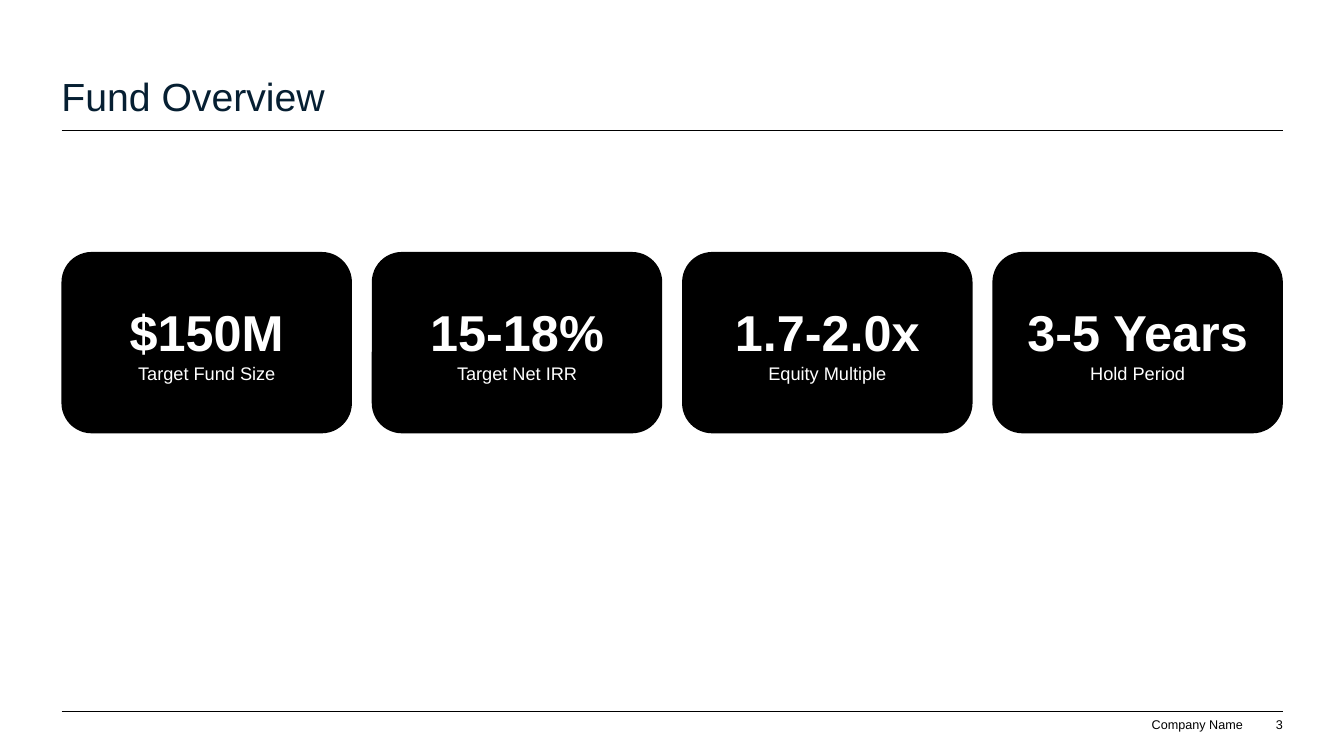
from lxml import etree
from pptx import Presentation
from pptx import util as u
from pptx.dml.color import RGBColor
from pptx.enum import shapes, text
from pptx.oxml.ns import qn

COLORS = {"ink": "000000", "paper": "FFFFFF", "title": "061F32"}
FONT = "Arial"
LEFT, WIDTH = 1.55, 30.78
RIGHT = LEFT + WIDTH
CARD_GAP = 0.5
METRICS = [
    ("$150M", "Target Fund Size"),
    ("15-18%", "Target Net IRR"),
    ("1.7-2.0x", "Equity Multiple"),
    ("3-5 Years", "Hold Period"),
]


def write_text(paragraph, content, size, color="ink", bold=False,
               align=text.PP_ALIGN.LEFT):
    paragraph.alignment = align
    run = paragraph.add_run()
    run.text = content
    run.font.name = FONT
    run.font.size = u.Pt(size)
    run.font.bold = bold
    run.font.color.rgb = RGBColor.from_string(COLORS[color])


class SlideBuilder:
    def __init__(self, slide):
        self.slide = slide

    def label(self, content, left, top, width, height, wrap=True, **style):
        box = self.slide.shapes.add_textbox(
            u.Cm(left), u.Cm(top), u.Cm(width), u.Cm(height))
        frame = box.text_frame
        frame.word_wrap = wrap
        frame.vertical_anchor = text.MSO_ANCHOR.BOTTOM
        frame.margin_left = frame.margin_right = 0
        frame.margin_top = frame.margin_bottom = 0
        write_text(frame.paragraphs[0], content, **style)

    def rule(self, top):
        line = self.slide.shapes.add_connector(
            shapes.MSO_CONNECTOR.STRAIGHT,
            u.Cm(LEFT), u.Cm(top), u.Cm(RIGHT), u.Cm(top))
        line.line.width = u.Pt(0.5)
        line.line.color.rgb = RGBColor.from_string(COLORS["ink"])
        etree.SubElement(line._element.spPr, qn("a:effectLst"))

    def card(self, value, caption, left, top, width, height):
        card = self.slide.shapes.add_shape(
            shapes.MSO_SHAPE.ROUNDED_RECTANGLE,
            u.Cm(left), u.Cm(top), u.Cm(width), u.Cm(height))
        card.shadow.inherit = False
        card.fill.solid()
        card.fill.fore_color.rgb = RGBColor.from_string(COLORS["ink"])
        card.line.fill.background()
        frame = card.text_frame
        frame.word_wrap = True
        frame.vertical_anchor = text.MSO_ANCHOR.MIDDLE
        centre = text.PP_ALIGN.CENTER
        write_text(frame.paragraphs[0], value, 36, "paper", True, centre)
        write_text(frame.add_paragraph(), caption, 13, "paper", False, centre)


def main():
    presentation = Presentation()
    presentation.slide_width = u.Cm(33.87)
    presentation.slide_height = u.Cm(19.05)
    slide = presentation.slides.add_slide(presentation.slide_layouts[6])
    builder = SlideBuilder(slide)

    for top in (17.93, 3.28):
        builder.rule(top)
    right = text.PP_ALIGN.RIGHT
    builder.label("Company Name", 29.01, 18.06, 2.31, 0.38,
                  wrap=False, size=9, align=right)
    builder.label("3", RIGHT - 0.91, 18.06, 0.91, 0.38, size=9, align=right)
    builder.label("Fund Overview", LEFT, 0.99, WIDTH, 2.03,
                  size=28, color="title")

    count = len(METRICS)
    card_width = (WIDTH - CARD_GAP * (count - 1)) / count
    for index, (value, caption) in enumerate(METRICS):
        left = LEFT + index * (card_width + CARD_GAP)
        builder.card(value, caption, left, 6.35, card_width, 4.57)

    presentation.save("out.pptx")


if __name__ == "__main__":
    main()
